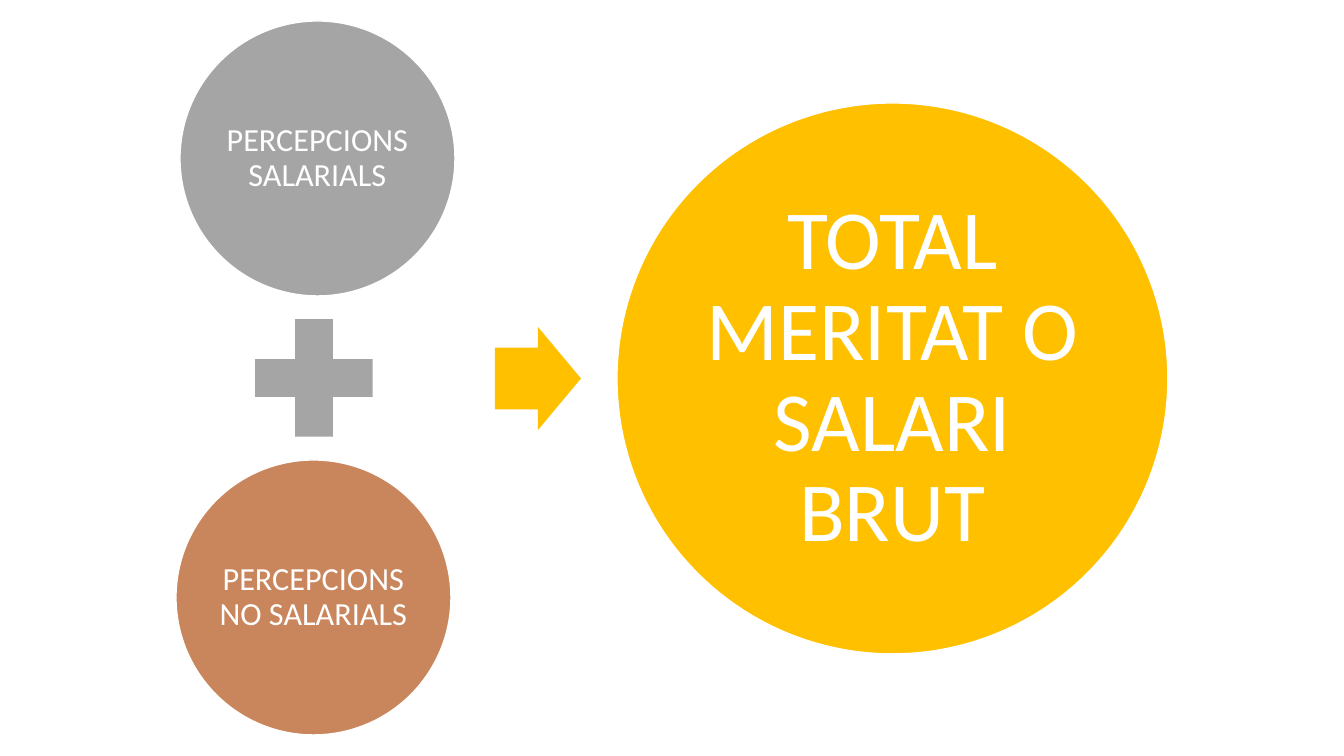
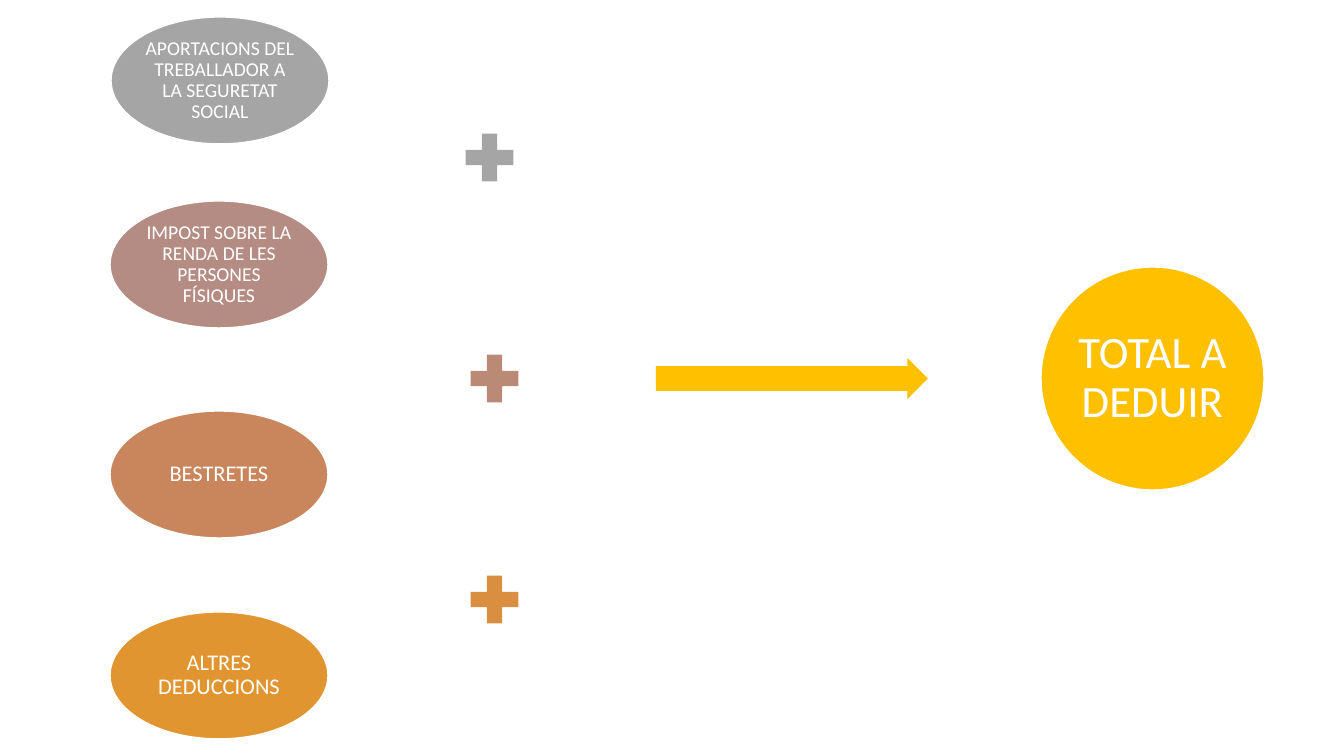
from dataclasses import dataclass

from pptx import Presentation
from pptx.dml.color import RGBColor
from pptx.enum.shapes import MSO_SHAPE as Preset
from pptx.enum.text import MSO_ANCHOR as Anchor, PP_ALIGN as Align
from pptx.util import Emu, Pt

EMU_PER_PX = 914400 / 100.8
PAGE_WIDTH, PAGE_HEIGHT = 1344, 756
BLANK_LAYOUT = 6
COLOURS = {
    "white": "FFFFFF",
    "grey": "A5A5A5",
    "mauve": "B48C83",
    "rose": "BB8A76",
    "copper": "C9865C",
    "amber": "D98F3F",
    "orange": "E19530",
    "gold": "FFC000",
}


@dataclass(frozen=True)
class Figure:
    """A filled preset shape placed in px, with an optional label."""

    preset: Preset
    left: int
    top: int
    width: int
    height: int
    colour: str
    label: str = ""
    points: int = 0
    inset: int = 0


def px(length: int) -> Emu:
    """Turn px into EMU."""
    return Emu(round(length * EMU_PER_PX))


def colour_of(name: str) -> RGBColor:
    """Look up a named colour."""
    return RGBColor.from_string(COLOURS[name])


def apply_format(target: object, values: dict) -> None:
    """Set each named attribute on the target."""
    for name, value in values.items():
        setattr(target, name, value)


def circle(left: int, top: int, size: int, colour: str, label: str, points: int, inset: int) -> Figure:
    """Describe a labelled circle."""
    return Figure(Preset.OVAL, left, top, size, size, colour, label, points, inset)


def oval(left: int, top: int, colour: str, label: str, points: int) -> Figure:
    """Describe one deduction oval."""
    return Figure(Preset.OVAL, left, top, 218, 127, colour, label, points, 2)


def plus(left: int, top: int, size: int, colour: str) -> Figure:
    """Describe a plus sign."""
    return Figure(Preset.MATH_PLUS, left, top, size, size, colour)


def arrow(left: int, top: int, width: int, height: int) -> Figure:
    """Describe an arrow pointing to a total."""
    return Figure(Preset.RIGHT_ARROW, left, top, width, height, "gold")


EARNINGS = [
    circle(180, 21, 275, "grey", "PERCEPCIONS SALARIALS", 23, 3),
    plus(234, 298, 160, "grey"),
    circle(176, 460, 275, "copper", "PERCEPCIONS NO SALARIALS", 23, 3),
    arrow(495, 327, 86, 103),
    circle(617, 103, 551, "gold", "TOTAL MERITAT O SALARI BRUT", 60, 8),
]
DEDUCTIONS = [
    oval(111, 17, "grey", "APORTACIONS DEL TREBALLADOR A LA SEGURETAT SOCIAL", 14),
    plus(457, 125, 65, "grey"),
    oval(110, 201, "mauve", "IMPOST SOBRE LA RENDA DE LES PERSONES FÍSIQUES", 14),
    plus(462, 346, 65, "rose"),
    oval(110, 411, "copper", "BESTRETES", 16),
    plus(462, 567, 65, "amber"),
    oval(110, 612, "orange", "ALTRES DEDUCCIONS", 16),
    arrow(656, 358, 272, 41),
    circle(1041, 267, 223, "gold", "TOTAL A DEDUIR", 32, 4),
]


def write_label(shape, figure: Figure) -> None:
    """Write the centred white label of a figure."""
    frame = shape.text_frame
    margins = {f"margin_{side}": px(figure.inset) for side in ("left", "top", "right", "bottom")}
    apply_format(frame, {"word_wrap": True, "vertical_anchor": Anchor.MIDDLE, **margins})
    para = frame.paragraphs[0]
    apply_format(para, {"alignment": Align.CENTER, "line_spacing": 0.9})
    span = para.add_run()
    span.text = figure.label
    apply_format(span.font, {"name": "Calibri", "size": Pt(figure.points)})
    span.font.color.rgb = colour_of("white")


def draw_figure(page, figure: Figure) -> None:
    """Draw one figure on a page."""
    box = [px(length) for length in (figure.left, figure.top, figure.width, figure.height)]
    shape = page.shapes.add_shape(figure.preset, *box)
    shape.shadow.inherit = False
    shape.fill.solid()
    shape.fill.fore_color.rgb = colour_of(figure.colour)
    if figure.preset == Preset.RIGHT_ARROW:
        shape.adjustments[0], shape.adjustments[1] = 0.6, 0.5
    if figure.label:
        shape.line.color.rgb = colour_of("white")
        shape.line.width = Pt(1)
        write_label(shape, figure)
    else:
        shape.line.fill.background()


def main() -> None:
    """Build and save the deck."""
    deck = Presentation()
    apply_format(deck, {"slide_width": px(PAGE_WIDTH), "slide_height": px(PAGE_HEIGHT)})
    for figures in (EARNINGS, DEDUCTIONS):
        page = deck.slides.add_slide(deck.slide_layouts[BLANK_LAYOUT])
        for figure in figures:
            draw_figure(page, figure)
    deck.save("out.pptx")


if __name__ == "__main__":
    main()
